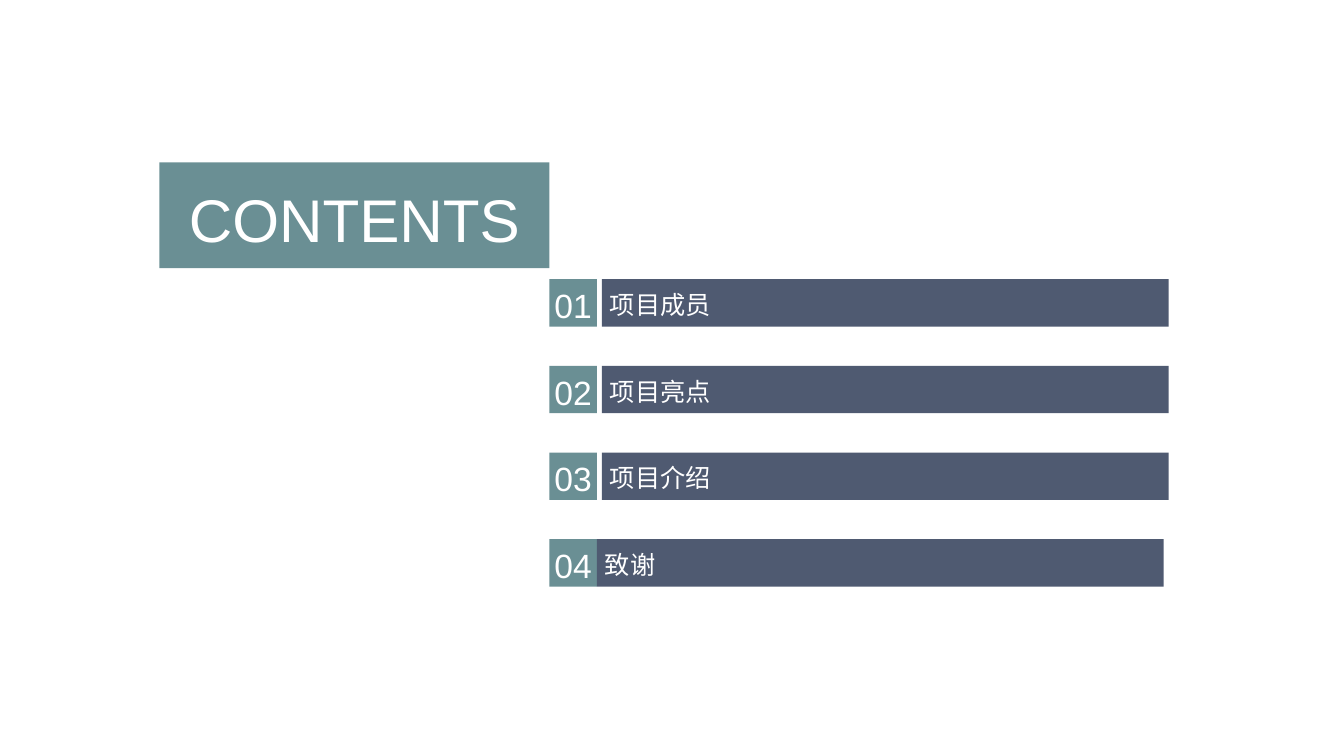
import pptx
import pptx.dml.color
import pptx.enum.shapes
import pptx.enum.text
import pptx.util
from pptx.util import Inches

TEAL = pptx.dml.color.RGBColor(0x6A, 0x8F, 0x94)
SLATE = pptx.dml.color.RGBColor(0x4F, 0x5A, 0x71)
WHITE = pptx.dml.color.RGBColor(0xFF, 0xFF, 0xFF)
CENTER = pptx.enum.text.PP_ALIGN.CENTER
LEFT = pptx.enum.text.PP_ALIGN.LEFT

ROW_TOP = 2.77
ROW_PITCH = 0.86
ROW_HEIGHT = 0.47
NUMBER_LEFT = 5.45
BAR_WIDTH = 5.62


def style_box(box, text, fill, size, align=CENTER, side_inset=0.0):
    """Fill a box and set its single line of white text."""
    box.fill.solid()
    box.fill.fore_color.rgb = fill
    box.line.fill.background()
    frame = box.text_frame
    frame.auto_size = pptx.enum.text.MSO_AUTO_SIZE.NONE
    frame.word_wrap = True
    frame.vertical_anchor = pptx.enum.text.MSO_ANCHOR.MIDDLE
    frame.margin_left = frame.margin_right = Inches(side_inset)
    frame.margin_top = frame.margin_bottom = 0
    frame.text = text
    para = frame.paragraphs[0]
    para.alignment = align
    para.line_spacing = 1.1
    para.font.name = "Arial"
    para.font.size = pptx.util.Pt(size)
    para.font.color.rgb = WHITE


def add_row_box(shapes, left, top, width):
    box = shapes.add_shape(
        pptx.enum.shapes.MSO_SHAPE.RECTANGLE,
        Inches(left), Inches(top), Inches(width), Inches(ROW_HEIGHT),
    )
    box.shadow.inherit = False
    return box


deck = pptx.Presentation()
deck.slide_width = Inches(13.33)
deck.slide_height = Inches(7.5)
page = deck.slides.add_slide(deck.slide_layouts[5])

title = page.shapes.title
title.left, title.top = Inches(1.58), Inches(1.61)
title.width, title.height = Inches(3.87), Inches(1.05)
style_box(title, "CONTENTS", TEAL, 43)

# Each section has its bar's left edge; the last bar touches its number.
sections = [
    ("项目成员", 5.97),
    ("项目亮点", 5.97),
    ("项目介绍", 5.97),
    ("致谢", 5.92),
]
for index, (name, bar_left) in enumerate(sections):
    top = ROW_TOP + index * ROW_PITCH
    group = page.shapes.add_group_shape()
    number = add_row_box(group.shapes, NUMBER_LEFT, top, ROW_HEIGHT)
    style_box(number, f"{index + 1:02d}", TEAL, 24)
    bar = add_row_box(group.shapes, bar_left, top, BAR_WIDTH)
    style_box(bar, name, SLATE, 18, LEFT, 0.08)

deck.save("out.pptx")
